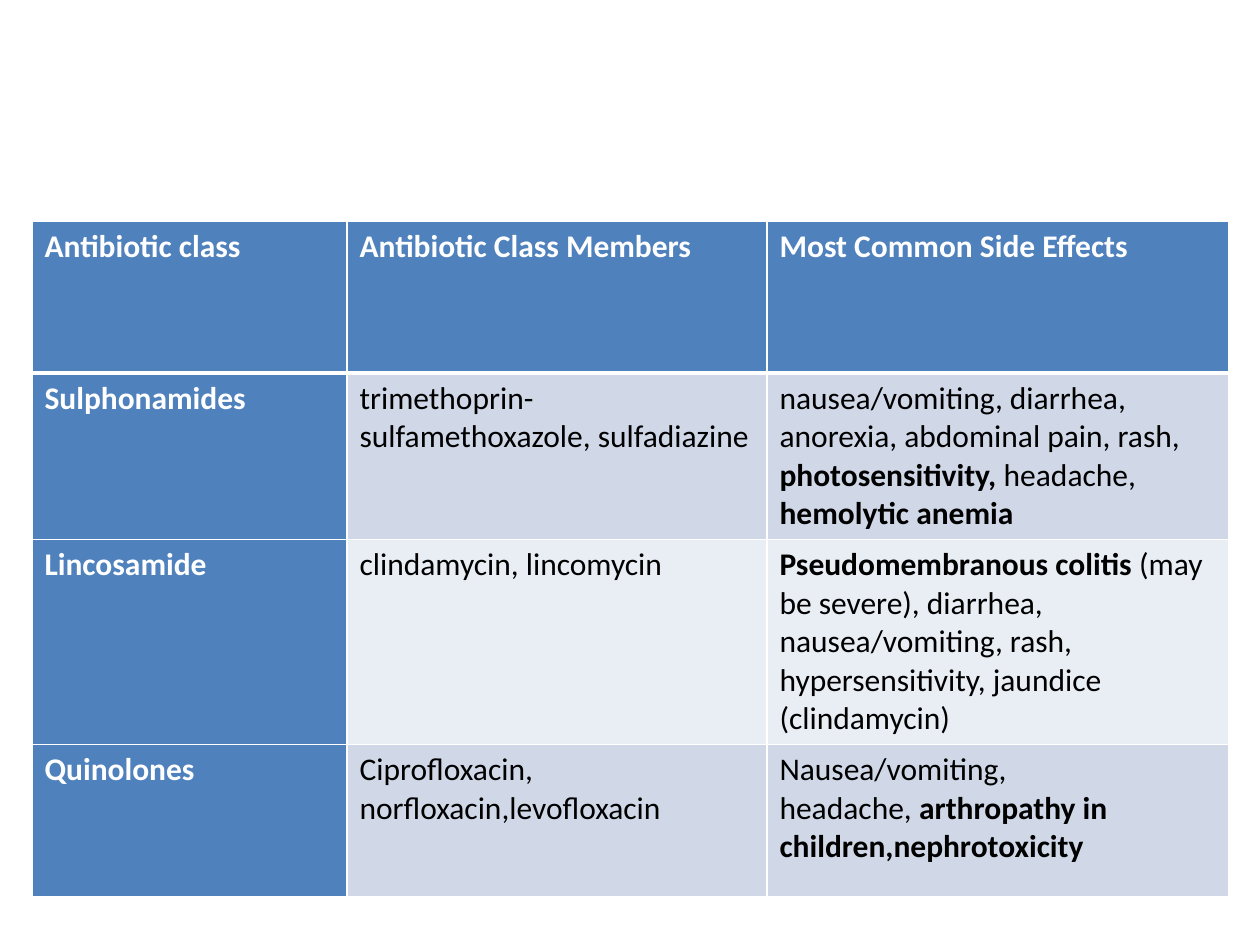
from lxml.etree import SubElement
from pptx import Presentation
from pptx.dml.color import RGBColor
from pptx.oxml.ns import qn
from pptx.util import Emu, Pt

PX = 914400 / 126
WHITE = RGBColor(0xFF, 0xFF, 0xFF)
BLACK = RGBColor(0x00, 0x00, 0x00)
BLUE = RGBColor(0x4F, 0x81, 0xBD)
BAND_DARK = RGBColor(0xD0, 0xD8, 0xE8)
BAND_LIGHT = RGBColor(0xE9, 0xED, 0xF4)


def px(n):
    return Emu(round(n * PX))


def add_run(p, text, font="Calibri", size=18, color=BLACK, bold=False):
    r = p.add_run()
    r.text = text
    r.font.name = font
    r.font.size = Pt(size)
    r.font.color.rgb = color
    r.font.bold = bold


class SlideBuilder:
    def __init__(self, prs):
        self.s = prs.slides.add_slide(prs.slide_layouts[6])
        self.header_fill = BLUE
        self.bands = (BAND_DARK, BAND_LIGHT)
        self.border = WHITE

    def borders(self, cell, **widths):
        """Draw the cell's L, R, T and B borders, with widths in points."""
        tcPr = cell._tc.get_or_add_tcPr()
        for side, width in widths.items():
            ln = SubElement(tcPr, qn(f"a:ln{side}"), w=str(Pt(width)))
            fill = SubElement(ln, qn("a:solidFill"))
            SubElement(fill, qn("a:srgbClr"), val=str(self.border))

    def cell(self, cell, paragraphs, row, col):
        heading = row == 0 or col == 0
        self.borders(cell, L=1, R=1, T=3 if row == 1 else 1, B=3 if row == 0 else 1)
        cell.fill.solid()
        cell.fill.fore_color.rgb = self.header_fill if heading else self.bands[(row - 1) % 2]
        tf = cell.text_frame
        for i, runs in enumerate(paragraphs):
            p = tf.add_paragraph() if i else tf.paragraphs[0]
            for text, bold in runs:
                add_run(p, text, color=WHITE if heading else BLACK, bold=heading or bold)

    def table(self, x, y, widths, row_height, rows):
        table = self.s.shapes.add_table(
            len(rows), len(widths), px(x), px(y),
            px(sum(widths)), px(row_height * len(rows))).table
        table.first_col = True
        for column, width in zip(table.columns, widths):
            column.width = px(width)
        for i, values in enumerate(rows):
            for j, value in enumerate(values):
                paragraphs = [[(value, False)]] if isinstance(value, str) else value
                self.cell(table.cell(i, j), paragraphs, i, j)


# Rich cells are lists of paragraphs, each a list of (text, bold) runs
SULPHONAMIDE_EFFECTS = [[
    ("nausea/vomiting, diarrhea, anorexia, abdominal pain, rash, ", False),
    ("photosensitivity, ", True),
    ("headache, ", False),
    ("hemolytic anemia", True),
]]
LINCOSAMIDE_EFFECTS = [[
    ("Pseudomembranous colitis", True),
    (" (may be severe), diarrhea, nausea/vomiting, rash, "
     "hypersensitivity, jaundice (clindamycin)", False),
]]
QUINOLONE_EFFECTS = [
    [("Nausea/vomiting,", False)],
    [("headache, ", False), ("arthropathy in children,nephrotoxicity", True)],
]
ROWS = [
    ("Antibiotic class", "Antibiotic Class Members", "Most Common Side Effects"),
    ("Sulphonamides", "trimethoprin-sulfamethoxazole, sulfadiazine", SULPHONAMIDE_EFFECTS),
    ("Lincosamide", "clindamycin, lincomycin", LINCOSAMIDE_EFFECTS),
    ("Quinolones", "Ciprofloxacin, norfloxacin,levofloxacin", QUINOLONE_EFFECTS),
]


def main():
    prs = Presentation()
    prs.slide_width, prs.slide_height = px(1260), px(945)

    # Antibiotic side effects table
    SlideBuilder(prs).table(32, 221, (315, 420, 462), 152, ROWS)
    prs.save("out.pptx")


if __name__ == "__main__":
    main()
